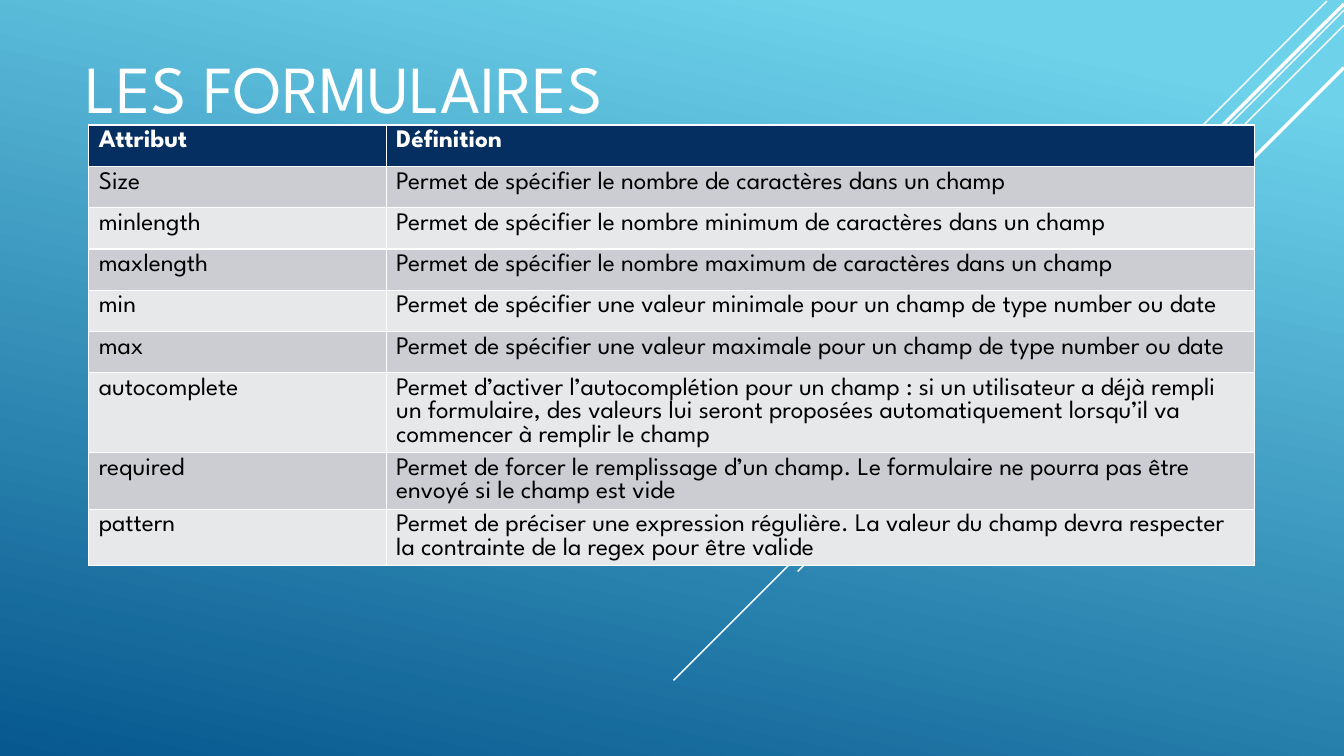
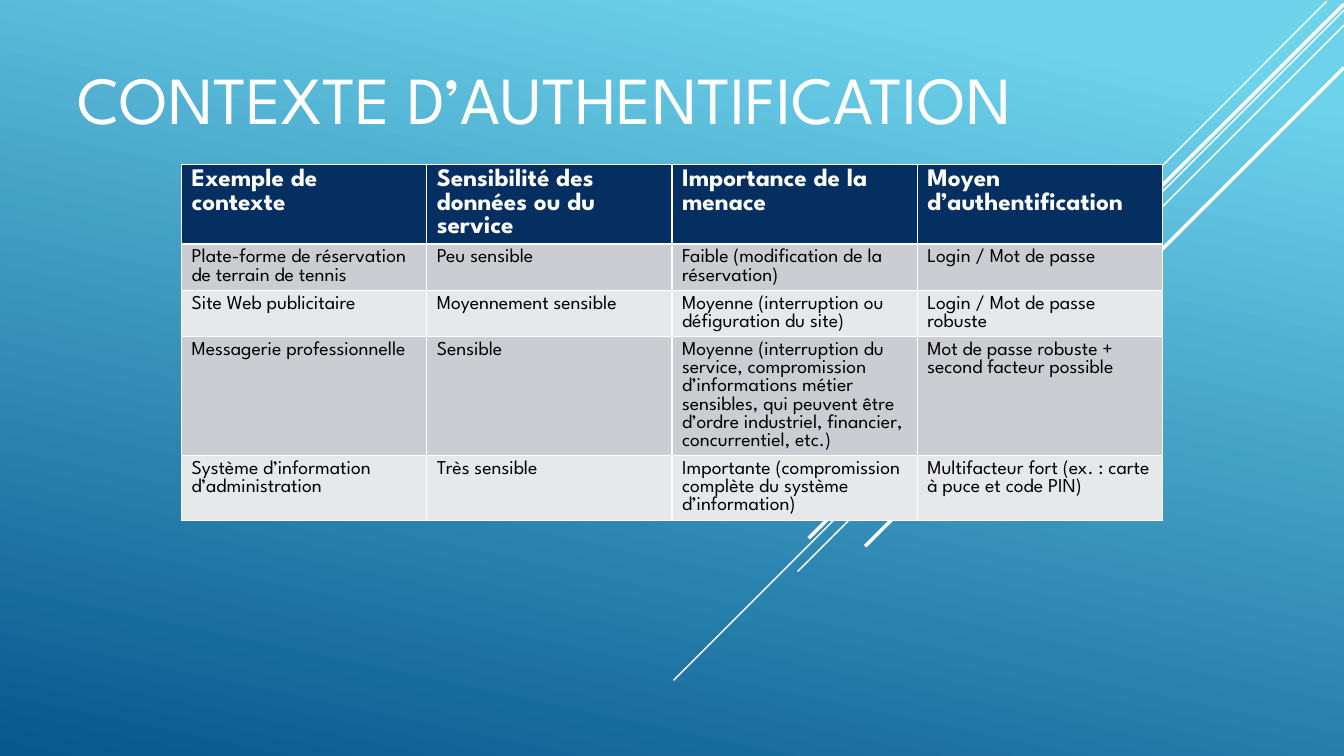
from dataclasses import dataclass

from lxml.etree import SubElement as Sub
from pptx import Presentation
from pptx.dml.color import RGBColor as Rgb
from pptx.enum.shapes import MSO_CONNECTOR as Conn
from pptx.enum.text import MSO_ANCHOR as Anchor, MSO_AUTO_SIZE as Auto, PP_ALIGN as Align
from pptx.oxml.ns import qn
from pptx.util import Inches, Pt


@dataclass(frozen=True)
class Theme:
    font: str = "League Spartan"
    white: str = "FFFFFF"
    black: str = "000000"
    navy: str = "052F61"
    bands: tuple = ("CCCDD2", "E7E8EA")
    sky: tuple = ((0.1, "6ED2EB"), (1, "06588E"))
    angle: int = 102
    title: int = 48
    head: int = 18
    thin: float = 1
    thick: float = 2.5


THEME = Theme()

RAYS = [
    (13.16, 0.01, 9, 4.18, THEME.thin),
    (13.33, 0.1, 6.68, 6.75, THEME.thin),
    (13.33, 0.25, 7.91, 5.67, THEME.thin),
    (13.33, 0.04, 8.02, 5.34, THEME.thick),
    (13.33, 0.67, 8.58, 5.42, THEME.thick),
]

FORMS = [
    ("Attribut", "Définition"),
    ("Size", "Permet de spécifier le nombre de caractères dans un champ"),
    ("minlength", "Permet de spécifier le nombre minimum de caractères dans un champ"),
    ("maxlength", "Permet de spécifier le nombre maximum de caractères dans un champ"),
    ("min", "Permet de spécifier une valeur minimale pour un champ de type number ou date"),
    ("max", "Permet de spécifier une valeur maximale pour un champ de type number ou date"),
    ("autocomplete", "Permet d’activer l’autocomplétion pour un champ : si un utilisateur a déjà "
     "rempli un formulaire, des valeurs lui seront proposées automatiquement lorsqu’il va "
     "commencer à remplir le champ"),
    ("required", "Permet de forcer le remplissage d’un champ. Le formulaire ne pourra pas être "
     "envoyé si le champ est vide"),
    ("pattern", "Permet de préciser une expression régulière. La valeur du champ devra respecter "
     "la contrainte de la regex pour être valide"),
]

ACCESS = [
    ("Exemple de contexte", "Sensibilité des données ou du service",
     "Importance de la menace", "Moyen d’authentification"),
    ("Plate-forme de réservation de terrain de tennis", "Peu sensible",
     "Faible (modification de la réservation)", "Login / Mot de passe"),
    ("Site Web publicitaire", "Moyennement sensible",
     "Moyenne (interruption ou défiguration du site)", "Login / Mot de passe robuste"),
    ("Messagerie professionnelle", "Sensible",
     "Moyenne (interruption du service, compromission d’informations métier sensibles, "
     "qui peuvent être d’ordre industriel, financier, concurrentiel, etc.)",
     "Mot de passe robuste + second facteur possible"),
    ("Système d’information d’administration", "Très sensible",
     "Importante (compromission complète du système d’information)",
     "Multifacteur fort (ex. : carte à puce et code PIN)"),
]


def color(code):
    return Rgb.from_string(code)


def write(para, text, size, code, bold=False):
    run = para.add_run()
    run.text = text
    font = run.font
    font.name, font.size, font.bold = THEME.font, Pt(size), bold
    font.color.rgb = color(code)


def add_sky(master):
    fill = master.background.fill
    fill.gradient()
    fill.gradient_angle = 360 - THEME.angle
    for stop, (place, code) in zip(fill.gradient_stops, THEME.sky):
        stop.position = place
        stop.color.rgb = color(code)


def add_rays(slide, master):
    tree = master.shapes._spTree
    first = max(shape.shape_id for shape in master.shapes) + 1
    for mark, (x1, y1, x2, y2, width) in enumerate(RAYS, first):
        ray = slide.shapes.add_connector(
            Conn.STRAIGHT, Inches(x1), Inches(y1), Inches(x2), Inches(y2))
        ray.line.color.rgb = color(THEME.white)
        ray.line.width = Pt(width)
        node = ray._element
        Sub(node.spPr, qn("a:effectLst"))
        node.nvCxnSpPr.cNvPr.set("id", str(mark))
        tree.append(node)


def add_title(slide, text, left, top, width):
    title = slide.shapes.title
    title.left, title.top = Inches(left), Inches(top)
    title.width, title.height = Inches(width), Inches(0.92)
    frame = title.text_frame
    frame.word_wrap = True
    frame.auto_size = Auto.NONE
    frame.vertical_anchor = Anchor.BOTTOM
    para = frame.paragraphs[0]
    para.alignment = Align.LEFT
    write(para, text, THEME.title, THEME.white)


def add_grid(slide, data, left, top, widths, size):
    high = 0.41
    grid = slide.shapes.add_table(
        len(data), len(widths), Inches(left), Inches(top),
        Inches(sum(widths)), Inches(high * len(data))).table
    for col, width in zip(grid.columns, widths):
        col.width = Inches(width)
    for i, (row, texts) in enumerate(zip(grid.rows, data)):
        row.height = Inches(high)
        head = i == 0
        shade = THEME.navy if head else THEME.bands[(i - 1) % 2]
        ink = THEME.white if head else THEME.black
        for cell, text in zip(row.cells, texts):
            cell.fill.solid()
            cell.fill.fore_color.rgb = color(shade)
            write(cell.text_frame.paragraphs[0], text, THEME.head if head else size, ink, head)


def main():
    deck = Presentation()
    deck.slide_width, deck.slide_height = Inches(13.33), Inches(7.5)
    master = deck.slide_master
    layout = deck.slide_layouts.get_by_name("Title Only")
    add_sky(master)

    forms = deck.slides.add_slide(layout)
    add_rays(forms, master)
    add_title(forms, "LES FORMULAIRES", 0.75, 0.39, 8.75)
    add_grid(forms, FORMS, 0.88, 1.24, [2.95, 8.61], 18)

    access = deck.slides.add_slide(layout)
    add_title(access, "CONTEXTE D’AUTHENTIFICATION", 0.67, 0.5, 11.99)
    add_grid(access, ACCESS, 1.8, 1.63, [9.73 / 4] * 4, 14)

    deck.save("out.pptx")


if __name__ == "__main__":
    main()
